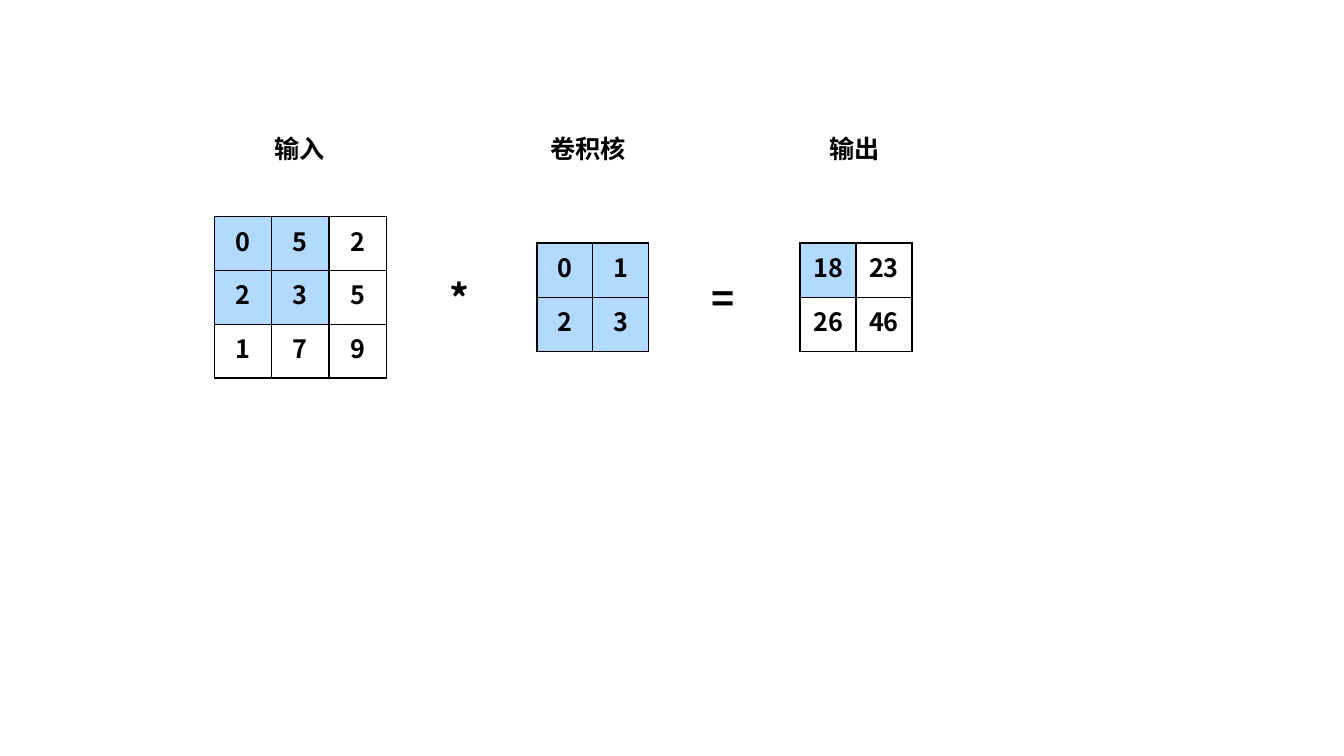
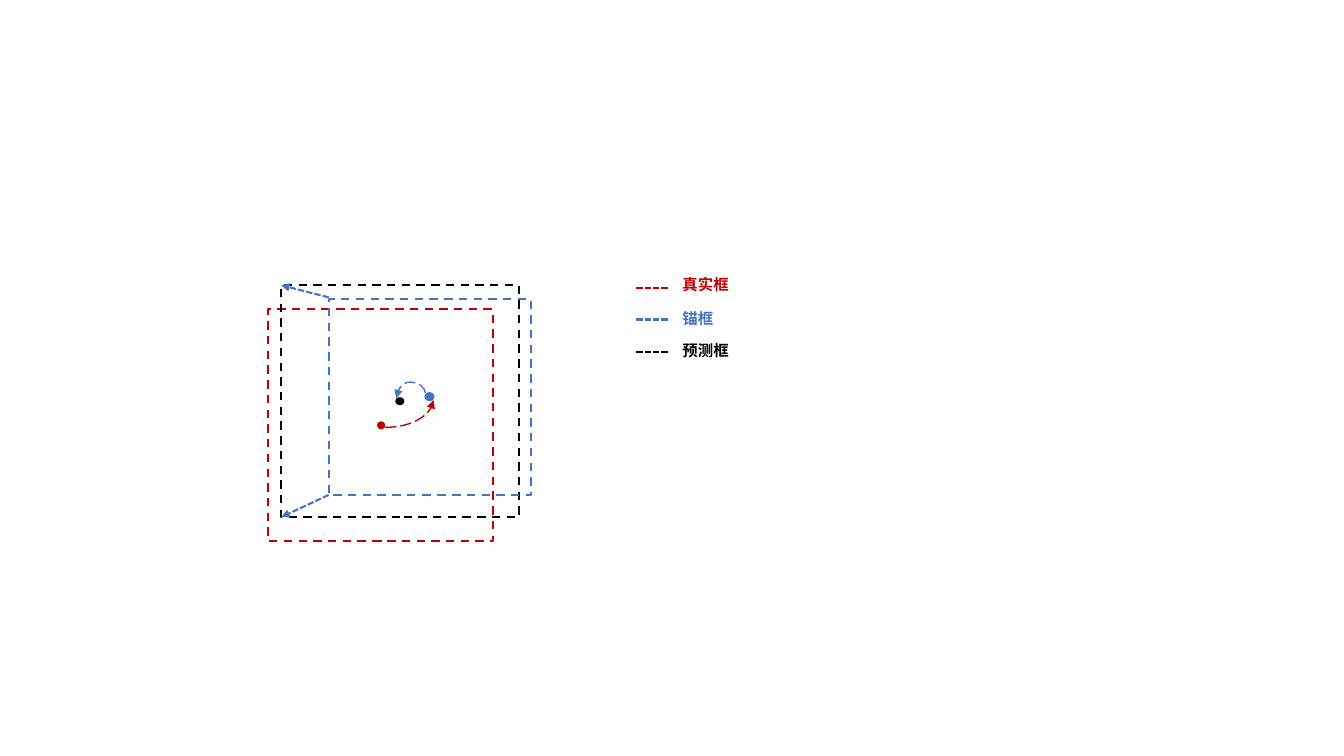
from dataclasses import dataclass

from lxml.etree import SubElement
from pptx import Presentation
from pptx.dml.color import RGBColor as Color
from pptx.enum.dml import MSO_LINE as Dash
from pptx.enum.shapes import MSO_CONNECTOR as Link, MSO_SHAPE as Shape
from pptx.enum.text import MSO_AUTO_SIZE as AutoSize, PP_ALIGN as Align
from pptx.oxml import parse_xml
from pptx.oxml.ns import nsdecls, qn
from pptx.util import Inches, Pt


@dataclass(frozen=True)
class Theme:
    font: str = "Noto Sans CJK SC"
    black: str = "000000"
    white: str = "FFFFFF"
    red: str = "C00000"
    blue: str = "4472C4"
    highlight: str = "B2D9FF"
    body_size: float = 18
    operator_size: float = 28
    legend_size: float = 11
    thin: float = 1
    thick: float = 1.5


THEME = Theme()
MATRIX_MIDDLE = 2.95
HEADING_TOP = 1.27


def write_text(frame, text, size=THEME.body_size, color=THEME.black, align=Align.LEFT):
    para = frame.paragraphs[0]
    para.alignment = align
    span = para.add_run()
    span.text = text
    font = span.font
    font.name, font.size, font.bold = THEME.font, Pt(size), True
    font.color.rgb = Color.from_string(color)
    SubElement(span._r.get_or_add_rPr(), qn("a:ea"), typeface=THEME.font)


def add_label(page, text, left, top, width, height, **text_format):
    box = page.shapes.add_textbox(*map(Inches, (left, top, width, height)))
    box.text_frame.word_wrap = True
    box.text_frame.auto_size = AutoSize.SHAPE_TO_FIT_TEXT
    write_text(box.text_frame, text, **text_format)


def style_line(line, color, width, dash):
    line.color.rgb = Color.from_string(color)
    line.width = Pt(width)
    line.dash_style = dash


def border_cell(cell):
    properties = cell._tc.get_or_add_tcPr()
    for index, side in enumerate(("lnL", "lnR", "lnT", "lnB")):
        properties.insert(index, parse_xml(
            f'<a:{side} {nsdecls("a")} w="{Pt(THEME.thin)}"><a:solidFill>'
            f'<a:srgbClr val="{THEME.black}"/></a:solidFill></a:{side}>'))


def add_matrix(page, values, center, width, height, marked):
    count = len(values)
    frame = page.shapes.add_table(
        count, count, Inches(center - width / 2), Inches(MATRIX_MIDDLE - height / 2),
        Inches(width), Inches(height))
    table = frame.table
    table.first_row = table.horz_banding = False
    for row, numbers in enumerate(values):
        for column, number in enumerate(numbers):
            cell = table.cell(row, column)
            inside = row < marked and column < marked
            cell.fill.solid()
            cell.fill.fore_color.rgb = Color.from_string(
                THEME.highlight if inside else THEME.white)
            border_cell(cell)
            write_text(cell.text_frame, str(number), align=Align.CENTER)


def add_target(page, color, frame_area, dot_area):
    group = page.shapes.add_group_shape()
    frame = group.shapes.add_shape(Shape.RECTANGLE, *map(Inches, frame_area))
    frame.shadow.inherit = False
    frame.fill.background()
    style_line(frame.line, color, THEME.thick, Dash.DASH)
    dot = group.shapes.add_shape(Shape.OVAL, *map(Inches, dot_area))
    dot.shadow.inherit = False
    dot.fill.solid()
    dot.fill.fore_color.rgb = Color.from_string(color)
    dot.line.fill.background()


def add_line(page, start, end, color, width=THEME.thick, dash=Dash.SQUARE_DOT,
             link=Link.STRAIGHT, arrow=False):
    line = page.shapes.add_connector(link, *map(Inches, (*start, *end)))
    style_line(line.line, color, width, dash)
    if arrow:
        SubElement(line.line._get_or_add_ln(), qn("a:tailEnd"), type="triangle")
    SubElement(line._element.spPr, qn("a:effectLst"))
    return line


def add_curve(page, start, end, color, preset, rotation=0, bend=None):
    curve = add_line(page, start, end, color, THEME.thin, Dash.LONG_DASH, Link.CURVE, True)
    properties = curve._element.spPr
    geometry = properties.find(qn("a:prstGeom"))
    geometry.set("prst", preset)
    if rotation:
        properties.find(qn("a:xfrm")).set("rot", str(rotation * 60000))
    if bend is not None:
        guides = geometry.find(qn("a:avLst"))
        SubElement(guides, qn("a:gd"), name="adj1", fmla=f"val {round(bend * 100000)}")


def build_convolution(page):
    matrices = [
        ("输入", 0.72, [[0, 5, 2], [2, 3, 5], [1, 7, 9]], 2.98, 1.7, 1.6, 2),
        ("卷积核", 1.04, [[0, 1], [2, 3]], 5.88, 1.11, 1.08, 2),
        ("输出", 0.72, [[18, 23], [26, 46]], 8.49, 1.11, 1.08, 1),
    ]
    for heading, heading_width, values, center, width, height, marked in matrices:
        add_matrix(page, values, center, width, height, marked)
        add_label(page, heading, center - heading_width / 2, HEADING_TOP, heading_width, 0.4)
    for symbol, left, width in (("*", 4.36, 0.42), ("=", 6.96, 0.39)):
        add_label(page, symbol, left, 2.67, width, 0.57, size=THEME.operator_size)


def build_anchor_boxes(page):
    add_target(page, THEME.red, (2.66, 3.07, 2.23, 2.3), (3.74, 4.18, 0.08, 0.08))
    add_target(page, THEME.black, (2.79, 2.83, 2.36, 2.3), (3.92, 3.94, 0.09, 0.08))
    add_target(page, THEME.blue, (3.26, 2.97, 2.01, 1.94), (4.21, 3.89, 0.1, 0.09))
    add_curve(page, (3.82, 4.24), (4.3, 3.97), THEME.red, "curvedConnector2")
    add_curve(page, (4.1, 4.07), (4.05, 3.78), THEME.blue, "curvedConnector3",
              rotation=270, bend=-2.2)
    for start, end in (((3.26, 4.91), (2.79, 5.13)), ((3.26, 2.95), (2.79, 2.83))):
        add_line(page, start, end, THEME.blue, arrow=True)
    legend = [
        ("真实框", THEME.red, 2.68, 2.86),
        ("锚框", THEME.blue, 3.02, 3.17),
        ("预测框", THEME.black, 3.33, 3.49),
    ]
    for name, color, top, middle in legend:
        add_label(page, name, 6.67, top, 0.82, 0.29, size=THEME.legend_size, color=color)
        add_line(page, (6.31, middle), (6.64, middle), color)


def main():
    deck = Presentation()
    deck.slide_width, deck.slide_height = Inches(13.33), Inches(7.5)
    blank = deck.slide_layouts[6]
    for build in (build_convolution, build_anchor_boxes):
        build(deck.slides.add_slide(blank))
    deck.save("out.pptx")


if __name__ == "__main__":
    main()
